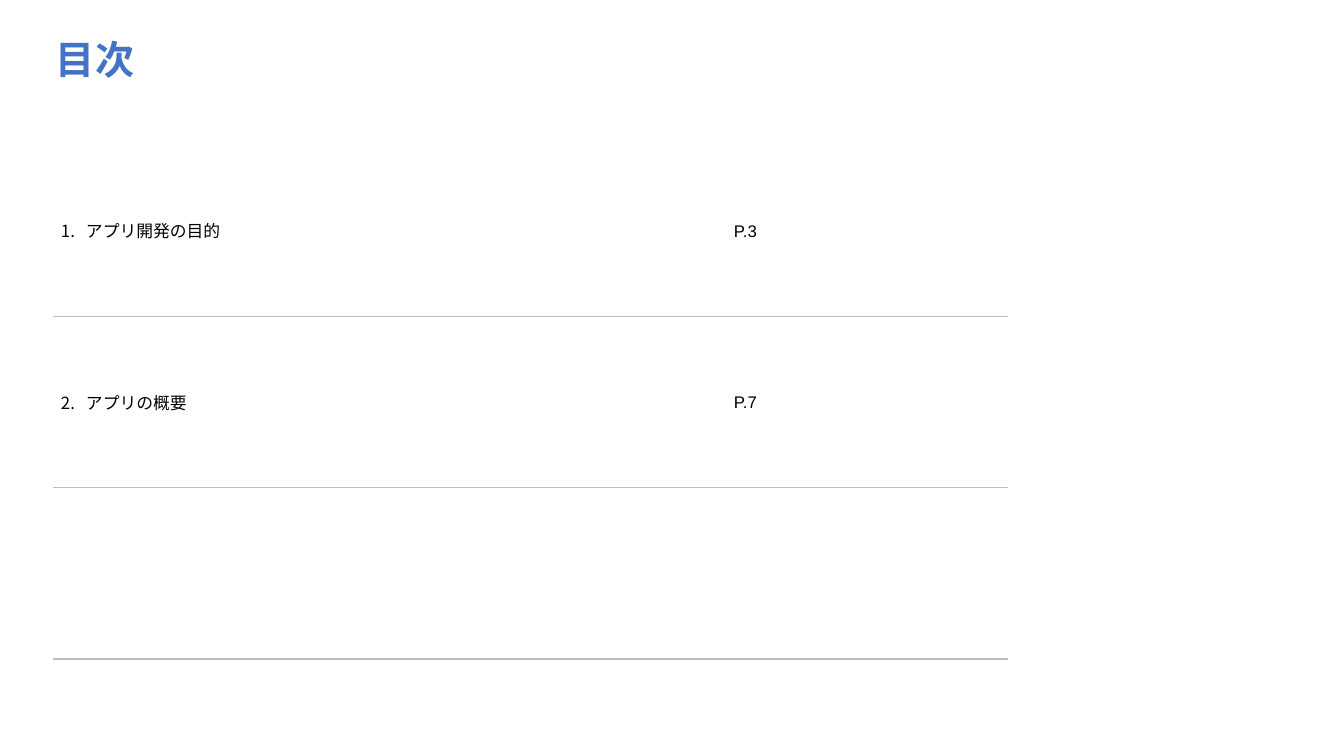
from dataclasses import dataclass

from lxml import etree
from pptx import Presentation
from pptx.dml.color import RGBColor
from pptx.enum.text import MSO_ANCHOR
from pptx.oxml.ns import qn
from pptx.util import Pt

MIDDLE = MSO_ANCHOR.MIDDLE
BOTTOM = MSO_ANCHOR.BOTTOM
SCALE = 914400 / 100.8
PLAIN = "{2D5ABB26-0587-4C30-8999-92F81FD0307C}"


@dataclass(frozen=True)
class Theme:
    blue: str = "4472C4"
    black: str = "000000"
    rule: str = "BFBFBF"
    head: int = 28
    body: int = 12
    latin: str = "Arial"
    asian: str = "Noto Sans CJK JP"


THEME = Theme()
ITEMS = [("アプリ開発の目的", "P.3"), ("アプリの概要", "P.7")]


def px(count):
    return round(count * SCALE)


def add(parent, tag, **attrs):
    return etree.SubElement(parent, qn(tag), attrs)


def write(frame, words, size=THEME.body, color=THEME.black, font=THEME.latin,
          bold=False, number=None, spacing=None):
    para = frame.paragraphs[0]
    if spacing:
        para.line_spacing = spacing
    run = para.add_run()
    run.text = words
    run.font.size = Pt(size)
    run.font.bold = bold
    run.font.name = font
    run.font.color.rgb = RGBColor.from_string(color)
    add(run.font._element, "a:ea", typeface=THEME.asian)
    if number:
        props = para._p.get_or_add_pPr()
        props.set("marL", str(px(25)))
        props.set("indent", str(-px(25)))
        add(props, "a:buFont", typeface=THEME.asian)
        add(props, "a:buAutoNum", type="arabicPeriod", startAt=str(number))


def add_title(slide, words):
    box = slide.shapes.add_textbox(px(46), px(15), px(1000), px(72))
    frame = box.text_frame
    frame.word_wrap = True
    frame.vertical_anchor = BOTTOM
    write(frame, words, size=THEME.head, color=THEME.blue,
          font=THEME.asian, bold=True)


def style_cell(cell):
    cell.vertical_anchor = MIDDLE
    cell.margin_left = cell.margin_right = px(8)
    cell.margin_top = cell.margin_bottom = px(8)
    cell.fill.background()
    # Grey rule under the cell, placed ahead of the fill
    props = cell._tc.get_or_add_tcPr()
    line = add(props, "a:lnB", w=str(Pt(1)))
    add(add(line, "a:solidFill"), "a:srgbClr", val=THEME.rule)
    props.insert(0, line)


def add_list(slide, items):
    rows = len(items) + 1
    widths = (673, 282)
    shape = slide.shapes.add_table(rows, len(widths), px(53), px(145),
                                   px(sum(widths)), px(514))
    table = shape.table
    table.first_row = table.horz_banding = False
    table._tbl.tblPr.find(qn("a:tableStyleId")).text = PLAIN
    for col, width in zip(table.columns, widths):
        col.width = px(width)
    for cell in table.iter_cells():
        style_cell(cell)

    # Numbered topics with their pages
    for row, (topic, page) in enumerate(items):
        write(table.cell(row, 0).text_frame, topic, number=row + 1)
        write(table.cell(row, 1).text_frame, page, spacing=1.06)

    # Open last row
    table.cell(rows - 1, 0).merge(table.cell(rows - 1, 1))


def main():
    deck = Presentation()
    deck.slide_width, deck.slide_height = px(1344), px(756)
    slide = deck.slides.add_slide(deck.slide_layouts[6])
    add_title(slide, "目次")
    add_list(slide, ITEMS)
    deck.save("out.pptx")


main()
